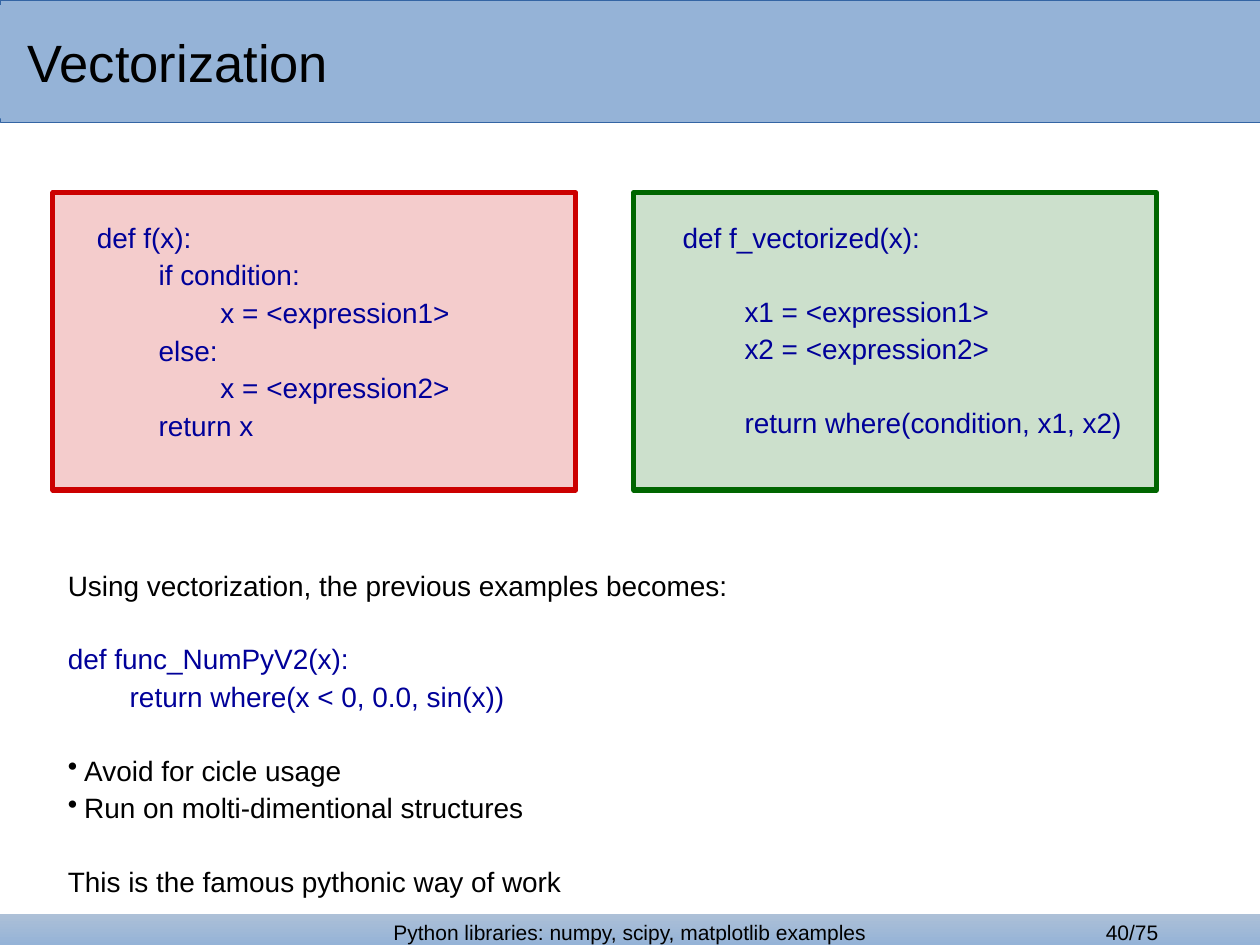
import pptx
import pptx.dml.color
import pptx.enum.dml
import pptx.enum.shapes
import pptx.enum.text
import pptx.oxml.ns
import pptx.util
from lxml import etree

Inches, Pt = pptx.util.Inches, pptx.util.Pt
ALIGN = pptx.enum.text.PP_ALIGN
ANCHOR = pptx.enum.text.MSO_ANCHOR

COLOURS = {
    "band": "95B3D7", "band_light": "ADC0D7", "band_edge": "3465A4",
    "text": "000000", "code": "000099", "slow": "CC0000", "fast": "006600",
}
WIDTH, HEIGHT = 10, 7.5
FOOTER_HEIGHT = 0.25
FOOTER_TOP = HEIGHT - FOOTER_HEIGHT
BODY_SIZE, BODY_GAP, BODY_PITCH = 16, 2.3, 20.7
BULLET_INDENT = 0.13

TITLE = "Vectorization"
FOOTER = "Python libraries: numpy, scipy, matplotlib examples"
PAGE_NUMBER = "40/75"

# Each line is (style, text); an empty text leaves one line free.
PANELS = [
    ("slow", 0.42, 0.25, [
        ("code", "def f(x):"),
        ("code", "        if condition:"),
        ("code", "                x = <expression1>"),
        ("code", "        else:"),
        ("code", "                x = <expression2>"),
        ("code", "        return x"),
    ]),
    ("fast", 5.03, 0.29, [
        ("code", "def f_vectorized(x):"),
        ("code", ""),
        ("code", "        x1 = <expression1>"),
        ("code", "        x2 = <expression2>"),
        ("code", ""),
        ("code", "        return where(condition, x1, x2)"),
    ]),
]
SUMMARY = [
    ("text", "Using vectorization, the previous examples becomes:"),
    ("text", ""),
    ("code", "def func_NumPyV2(x):"),
    ("code", "        return where(x < 0, 0.0, sin(x))"),
    ("text", ""),
    ("bullet", "Avoid for cicle usage"),
    ("bullet", "Run on molti-dimentional structures"),
    ("text", ""),
    ("text", "This is the famous pythonic way of work"),
]


def colour(name):
    return pptx.dml.color.RGBColor.from_string(COLOURS[name])


def add_rectangle(page, at, fill, line=None, line_width=0.25, opacity=None):
    shape = page.shapes.add_shape(
        pptx.enum.shapes.MSO_SHAPE.RECTANGLE, *map(Inches, at))
    shape.shadow.inherit = False
    shape.fill.solid()
    shape.fill.fore_color.rgb = colour(fill)
    if opacity is not None:
        rgb = shape.fill._xPr.find(".//" + pptx.oxml.ns.qn("a:srgbClr"))
        etree.SubElement(rgb, pptx.oxml.ns.qn("a:alpha"), val=str(opacity * 1000))
    if line:
        shape.line.color.rgb = colour(line)
        shape.line.width = Pt(line_width)
    else:
        shape.line.fill.background()
    return shape


def style_paragraph(para, size, name="text", align=ALIGN.LEFT):
    para.alignment = align
    for span in para.runs:
        span.font.name = "Arial"
        span.font.size = Pt(size)
        span.font.color.rgb = colour(name)


def add_bullet(para):
    properties = para._p.get_or_add_pPr()
    indent = Inches(BULLET_INDENT)
    properties.set("marL", str(indent))
    properties.set("indent", str(-indent))
    etree.SubElement(properties, pptx.oxml.ns.qn("a:buChar"), char="•")


def add_text_box(page, at):
    box = page.shapes.add_textbox(*map(Inches, at))
    box.text_frame.word_wrap = True
    return box


def add_lines(page, at, lines):
    """Write styled lines, turning each empty one into space before the next."""
    frame = add_text_box(page, at).text_frame
    para, gap = frame.paragraphs[0], 0
    for style, text in lines:
        if not text:
            gap += BODY_PITCH
            continue
        if para.text:
            para = frame.add_paragraph()
        para.text = text
        para.space_before = Pt(gap)
        if style == "bullet":
            add_bullet(para)
        style_paragraph(para, BODY_SIZE, "code" if style == "code" else "text")
        gap = BODY_GAP


def add_header(page):
    add_rectangle(page, (0, 0, WIDTH, 0.97), "band", "band_edge")
    title = add_rectangle(page, (0, 0.04, 8.35, 0.9), "band")
    frame = title.text_frame
    frame.margin_left = Inches(0.22)
    frame.vertical_anchor = ANCHOR.MIDDLE
    frame.text = TITLE
    style_paragraph(frame.paragraphs[0], 30)


def add_footer(page):
    band = add_rectangle(page, (0, FOOTER_TOP, WIDTH, FOOTER_HEIGHT), "band")
    band.fill.gradient()
    band.fill.gradient_angle = 90
    for stop, name in zip(band.fill.gradient_stops, ("band", "band_light")):
        stop.color.rgb = colour(name)
    for left, text in ((0, FOOTER), (7.97, PAGE_NUMBER)):
        box = add_text_box(page, (left, FOOTER_TOP, WIDTH - left, FOOTER_HEIGHT))
        box.text_frame.text = text
        style_paragraph(box.text_frame.paragraphs[0], 12, align=ALIGN.CENTER)


def main():
    deck = pptx.Presentation()
    deck.slide_width, deck.slide_height = Inches(WIDTH), Inches(HEIGHT)
    page = deck.slides.add_slide(deck.slide_layouts[6])
    add_header(page)
    add_footer(page)
    for name, left, inset, lines in PANELS:
        add_rectangle(page, (left, 1.53, 4.15, 2.36), name, name, 2.89, opacity=20)
        add_lines(page, (left + inset, 1.7, 4.56, 2.08), lines)
    add_lines(page, (0.44, 4.46, 6.55, 2.32), SUMMARY)
    deck.save("out.pptx")


if __name__ == "__main__":
    main()
